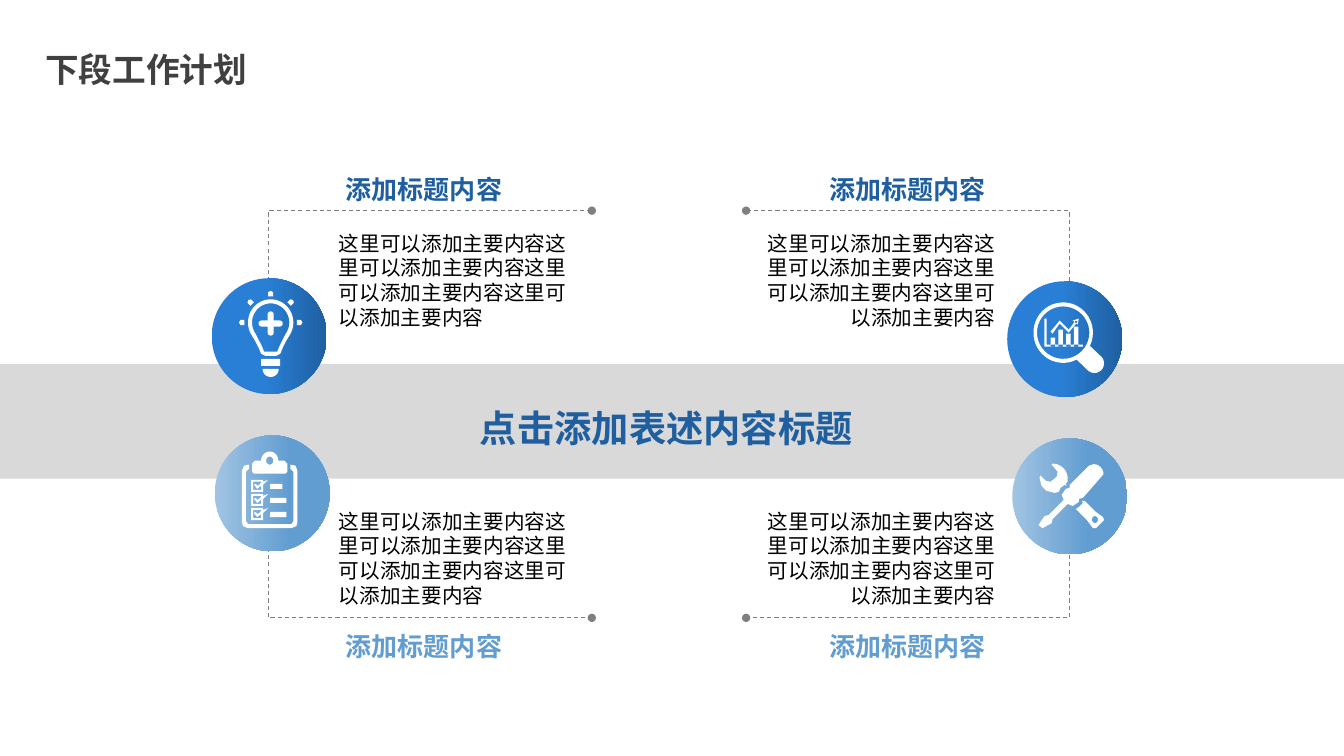
import math

from lxml import etree
from pptx import Presentation
from pptx import util as u
from pptx.dml.color import RGBColor
from pptx.enum import dml, shapes, text
from pptx.oxml.ns import qn

FONT = "Noto Sans CJK SC"
COLORS = {
    "title": "404040", "body": "000000", "line": "7F7F7F", "band": "D9D9D9",
    "navy": "1F5FA0", "blue": "297FD5", "sky": "629DD1", "pale": "A1C4E3",
    "icon": "FFFFFF",
}
DARK = [("blue", 0.47), ("navy", 1)]
LIGHT = [("pale", 0), ("sky", 0.66)]
HEADING = "添加标题内容"
BODY = "这里可以添加主要内容" * 4


def rgb(name):
    return RGBColor.from_string(COLORS[name])


def arc(x, y, radius_x, radius_y, start=0, end=360, steps=40):
    """Points on an ellipse around (x, y), clockwise, angles in degrees."""
    angles = [math.radians(start + (end - start) * i / steps) for i in range(steps + 1)]
    return [(x + radius_x * math.cos(a), y + radius_y * math.sin(a)) for a in angles]


def box(left, top, width, height):
    right, bottom = left + width, top + height
    return [(left, top), (right, top), (right, bottom), (left, bottom)]


def bulb():
    x, y = 2.685, 3.2
    glass = arc(x, y, 0.225, 0.23, 145, 395) + [
        (2.84, 3.38), (2.8, 3.46), (2.78, 3.51), (2.74, 3.53),
        (2.63, 3.53), (2.59, 3.51), (2.57, 3.46), (2.53, 3.38)]
    hollow = arc(x, y, 0.185, 0.19, 143, 397) + [
        (2.81, 3.36), (2.77, 3.44), (2.75, 3.49), (2.62, 3.49), (2.6, 3.44), (2.56, 3.36)]
    plus = []
    for turn in (0, 90, 180, 270):
        plus += [(x + 0.03 * math.sqrt(2) * math.cos(math.radians(turn - 45)),
                  3.21 + 0.03 * math.sqrt(2) * math.sin(math.radians(turn - 45)))]
        angle = math.radians(turn)
        plus += arc(x + 0.09 * math.cos(angle), 3.21 + 0.09 * math.sin(angle),
                    0.03, 0.03, turn - 90, turn + 90, 8)
    rays = []
    for turn in range(180, 361, 45):
        c, s = math.cos(math.radians(turn)), math.sin(math.radians(turn))
        corners = [(0.26, -0.025), (0.3, -0.025), (0.315, 0), (0.3, 0.025), (0.26, 0.025)]
        rays.append([(x + a * c - b * s, y + a * s + b * c) for a, b in corners])
    socket = [box(2.59, 3.56, 0.19, 0.07), arc(x, 3.66, 0.08, 0.08, 0, 180)]
    return [glass, hollow, plus, *socket, *rays]


def clipboard():
    frame = [
        (2.47, 4.65), (2.44, 4.68), (2.44, 5.17), (2.46, 5.2), (2.89, 5.2), (2.91, 5.17),
        (2.91, 4.68), (2.88, 4.65), (2.88, 4.61), (2.93, 4.62), (2.95, 4.67), (2.95, 5.18),
        (2.94, 5.22), (2.89, 5.24), (2.46, 5.24), (2.41, 5.22), (2.4, 5.18), (2.4, 4.67),
        (2.42, 4.62), (2.47, 4.61)]
    clip = arc(2.675, 4.57, 0.085, 0.09, 180, 360) + [
        (2.82, 4.57), (2.85, 4.6), (2.85, 4.68), (2.83, 4.7),
        (2.52, 4.7), (2.5, 4.68), (2.5, 4.6), (2.53, 4.57)]
    outlines = [frame, clip, arc(2.675, 4.57, 0.035, 0.04)]
    tick = [(2.52, 0.05), (2.53, 0.04), (2.56, 0.06), (2.59, 0.03), (2.59, 0.06), (2.55, 0.09)]
    tick_end = [(2.61, 0.02), (2.66, 0), (2.61, 0.05)]
    for row, bar_width in enumerate((0.12, 0.16, 0.16)):
        top = 4.76 + 0.14 * row
        outlines += [box(2.49, top, 0.12, 0.12), box(2.51, top + 0.02, 0.08, 0.08)]
        outlines += [[(x, top + y) for x, y in part] for part in (tick, tick_end)]
        outlines.append(box(2.68, top + 0.04, bar_width, 0.05))
    return outlines


def magnifier():
    lens = arc(10.545, 3.3, 0.295, 0.3, 63, 386)
    handle = arc(10.855, 3.605, 0.095, 0.095, -45, 135)
    trend = [(10.42, 3.29), (10.51, 3.18), (10.6, 3.27), (10.67, 3.18),
             (10.69, 3.19), (10.6, 3.3), (10.51, 3.21), (10.44, 3.31)]
    arrow = [(10.64, 3.18), (10.7, 3.16), (10.69, 3.22)]
    bars = [box(10.42 + 0.077 * i, top, 0.045, 3.44 - top)
            for i, top in enumerate((3.35, 3.27, 3.31, 3.24))]
    axes = [box(10.36, 3.16, 0.02, 0.28), box(10.38, 3.42, 0.36, 0.02)]
    return [lens + handle, arc(10.545, 3.3, 0.26, 0.26), trend, arrow, *bars, *axes]


def tools():
    driver = arc(10.845, 4.705, 0.1, 0.1, 225, 405, 12)[3:-3] + [
        (10.74, 4.94), (10.7, 4.95), (10.7, 4.98), (10.64, 5.02), (10.59, 5), (10.44, 5.15),
        (10.43, 5.19), (10.34, 5.24), (10.3, 5.21), (10.36, 5.12), (10.4, 5.11), (10.55, 4.96),
        (10.53, 4.91), (10.57, 4.85), (10.61, 4.84), (10.61, 4.81), (10.8, 4.62)]
    wrench = arc(10.44, 4.75, 0.15, 0.15, -90, 0, 10) + [
        (10.59, 4.78), (10.57, 4.8), (10.58, 4.82), (10.56, 4.81), (10.52, 4.84), (10.5, 4.88),
        (10.46, 4.89), (10.38, 4.87), (10.33, 4.82), (10.31, 4.74), (10.32, 4.72),
        (10.37, 4.77), (10.42, 4.78), (10.48, 4.73), (10.49, 4.68), (10.43, 4.61)]
    grip = [(10.73, 4.97), (10.76, 4.97), (10.87, 5.08), (10.94, 5.13), (10.95, 5.16),
            (10.87, 5.24), (10.84, 5.24), (10.78, 5.16), (10.67, 5.05), (10.7, 5.03),
            (10.74, 4.99)]
    return [driver, wrench, grip, arc(10.86, 5.155, 0.03, 0.035)]


class PlanSlide:
    def __init__(self, presentation):
        self.slide = presentation.slides.add_slide(presentation.slide_layouts[5])
        self.shapes = self.slide.shapes

    def set_text(self, shape, content, size, color, bold=True, align="LEFT", side=0.09):
        frame = shape.text_frame
        # The font's tall ascent is balanced by a slightly deeper top inset.
        frame_format = {
            "word_wrap": True, "auto_size": text.MSO_AUTO_SIZE.NONE,
            "vertical_anchor": text.MSO_ANCHOR.TOP,
            "margin_left": u.Inches(side), "margin_right": u.Inches(side),
            "margin_top": u.Inches(0.05 + size / 900), "margin_bottom": 0,
        }
        for name, value in frame_format.items():
            setattr(frame, name, value)
        paragraph = frame.paragraphs[0]
        paragraph.alignment = getattr(text.PP_ALIGN, align)
        paragraph.line_spacing = u.Pt(size * 1.2)
        run = paragraph.add_run()
        run.text = content
        for name, value in {"name": FONT, "size": u.Pt(size), "bold": bold}.items():
            setattr(run.font, name, value)
        run.font.color.rgb = rgb(color)
        etree.SubElement(run.font._element, qn("a:ea"), typeface=FONT)

    def title(self, content, *place):
        shape = self.shapes.title
        for name, value in zip(("left", "top", "width", "height"), place):
            setattr(shape, name, u.Inches(value))
        self.set_text(shape, content, 24, "title", side=0.1)

    def label(self, content, place, size, color, **style):
        shape = self.shapes.add_textbox(*map(u.Inches, place))
        self.set_text(shape, content, size, color, **style)

    def outline(self, contours, close=True):
        """One freeform of several contours; inner ones cut holes."""
        builder = None
        for contour in contours:
            points = [(u.Inches(x), u.Inches(y)) for x, y in contour]
            if builder is None:
                builder = self.shapes.build_freeform(*points[0])
            else:
                builder.move_to(*points[0])
            builder.add_line_segments(points[1:], close=close)
        shape = builder.convert_to_shape()
        shape.shadow.inherit = False
        return shape

    def leader(self, points):
        shape = self.outline([points], close=False)
        shape.fill.background()
        shape.line.color.rgb = rgb("line")
        shape.line.width = u.Pt(0)
        shape.line.dash_style = dml.MSO_LINE.DASH
        line = shape.element.spPr.find(qn("a:ln"))
        for end in ("a:headEnd", "a:tailEnd"):
            etree.SubElement(line, qn(end), type="oval")

    def preset(self, kind, *place):
        shape = self.shapes.add_shape(kind, *map(u.Inches, place))
        shape.shadow.inherit = False
        shape.line.fill.background()
        return shape

    def band(self, *place):
        shape = self.preset(shapes.MSO_SHAPE.RECTANGLE, *place)
        shape.fill.solid()
        shape.fill.fore_color.rgb = rgb("band")

    def badge(self, left, top, stops, contours):
        disc = self.preset(shapes.MSO_SHAPE.OVAL, left, top, 1.14, 1.15)
        disc.fill.gradient()
        disc.fill.gradient_angle = 0
        for stop, (color, position) in zip(disc.fill.gradient_stops, stops):
            stop.color.rgb = rgb(color)
            stop.position = position
        icon = self.outline(contours)
        icon.fill.solid()
        icon.fill.fore_color.rgb = rgb("icon")
        icon.line.fill.background()
        self.shapes.add_group_shape([disc, icon])


def main():
    presentation = Presentation()
    presentation.slide_width, presentation.slide_height = u.Inches(13.33), u.Inches(7.5)
    plan = PlanSlide(presentation)
    plan.title("下段工作计划", 0.35, 0.41, 2.22, 0.5)

    for near, far in ((2.83, 2.09), (5.4, 6.13)):
        for outer, inner in ((2.66, 5.87), (10.61, 7.4)):
            plan.leader([(outer, near), (outer, far), (inner, far)])

    plan.band(0, 3.61, 13.33, 1.14)
    plan.label("点击添加表述内容标题", (4.67, 3.94, 3.92, 0.54), 26.6, "navy")

    plan.badge(2.1, 2.76, DARK, bulb())
    plan.badge(2.13, 4.32, LIGHT, clipboard())
    plan.badge(9.99, 2.79, DARK, magnifier())
    plan.badge(10.04, 4.35, LIGHT, tools())

    for heading_top, body_top, color in ((1.65, 2.22, "navy"), (6.18, 4.98, "sky")):
        for heading_left, body_left, align in ((3.34, 3.27, "LEFT"), (8.13, 7.4, "RIGHT")):
            plan.label(HEADING, (heading_left, heading_top, 1.74, 0.41), 18.6, color, align=align)
            plan.label(BODY, (body_left, body_top, 2.56, 1.08), 14.7, "body",
                       bold=False, align=align)

    presentation.save("out.pptx")


if __name__ == "__main__":
    main()
